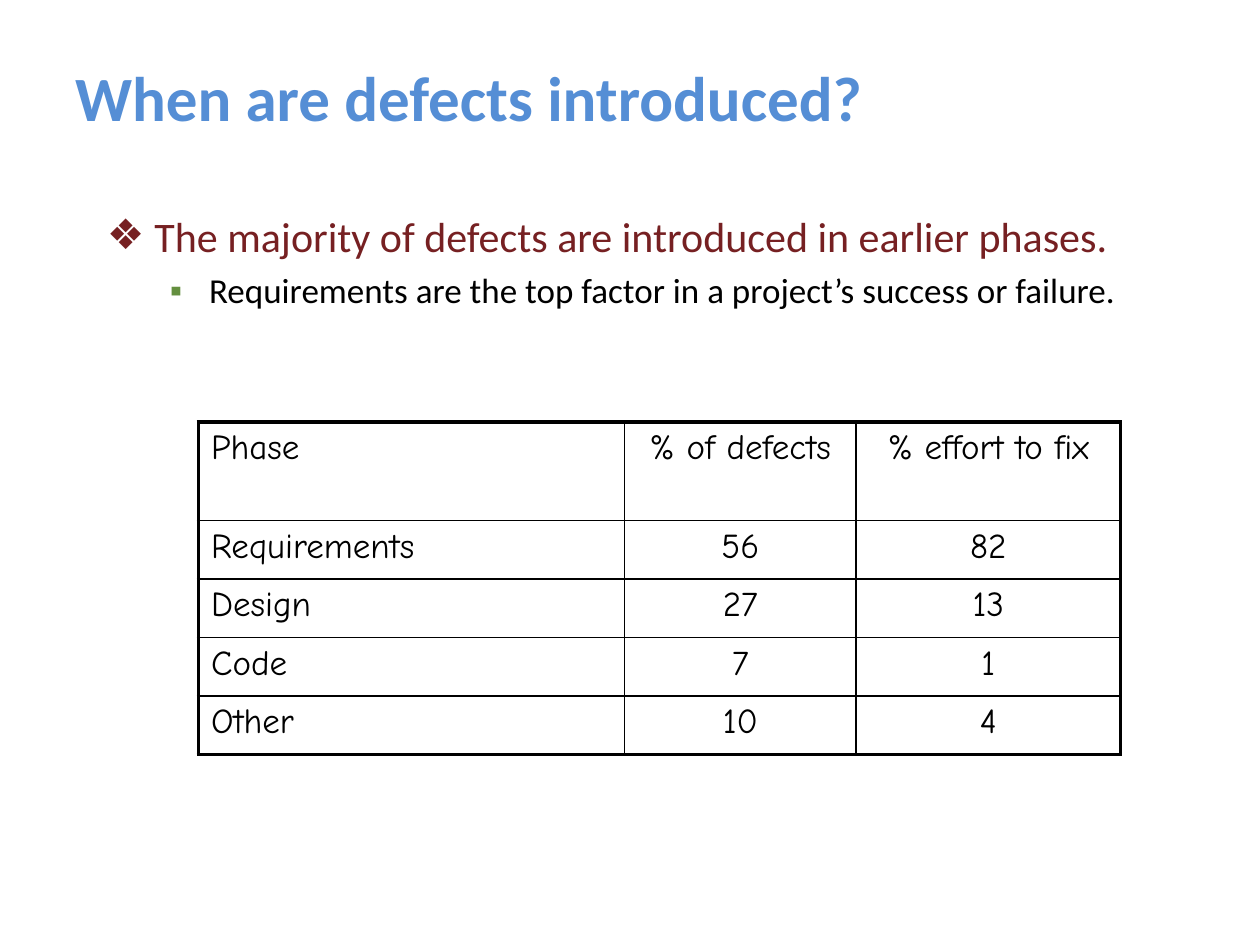
from lxml import etree
from pptx import Presentation
from pptx.dml.color import RGBColor
from pptx.enum.shapes import MSO_SHAPE
from pptx.enum.text import MSO_ANCHOR, MSO_AUTO_SIZE, PP_ALIGN
from pptx.oxml.ns import qn
from pptx.util import Cm, Pt

RECTANGLE = MSO_SHAPE.RECTANGLE
LEFT, CENTER = PP_ALIGN.LEFT, PP_ALIGN.CENTER
MIDDLE, TOP = MSO_ANCHOR.MIDDLE, MSO_ANCHOR.TOP
NO_FIT = MSO_AUTO_SIZE.NONE

COLORS = {
    "background": "C0C0C0",
    "panel": "FFFFFF",
    "title": "558ED5",
    "point": "762022",
    "detail_bullet": "648F3F",
    "ink": "000000",
}

TITLE = "When are defects introduced?"
POINTS = [
    {"text": "The majority of defects are introduced in earlier phases.",
     "level": 0, "bullet": "❖", "bullet_color": "point", "margin": 0.96,
     "hanging": 0.96, "before": 0, "format": "point"},
    {"text": "Requirements are the top factor in a project’s success or failure.",
     "level": 1, "bullet": "▪", "bullet_color": "detail_bullet", "margin": 2.06,
     "hanging": 0.79, "before": 4.8, "format": "detail"},
]
DEFECTS = [
    ("Phase", "% of defects", "% effort to fix"),
    ("Requirements", "56", "82"),
    ("Design", "27", "13"),
    ("Code", "7", "1"),
    ("Other", "10", "4"),
]

FORMATS = {
    "title": {"name": "Calibri", "size": Pt(36), "bold": True, "color": "title"},
    "point": {"name": "Calibri", "size": Pt(24), "color": "point"},
    "detail": {"name": "Calibri", "size": Pt(20), "color": "ink"},
    "cell": {"name": "Comic Neue", "size": Pt(20), "color": "ink"},
}

# left, top, width, height in centimetres
SLIDE_WIDTH, SLIDE_HEIGHT = 25.4, 19.05
HEADER_BOTTOM, CONTENT_TOP = 2.97, 2.74
PANELS = [
    (0, 0, SLIDE_WIDTH, HEADER_BOTTOM),
    (0, CONTENT_TOP, SLIDE_WIDTH, SLIDE_HEIGHT - CONTENT_TOP),
]
TITLE_BOX = (1.26, 0.73, 21.59, 2.41)
POINTS_BOX = (1.9, 4.11, 22.6, 2.64)
TABLE_CORNER = (4, 8.51)
COLUMN_WIDTHS = (8.59, 4.67, 5.33)
HEADER_HEIGHT, ROW_HEIGHT = 1.98, 1.18
OUTER_LINE, INNER_LINE = Pt(2.25), Pt(1)


def rgb(color_name):
    return RGBColor.from_string(COLORS[color_name])


def add_panels(slide):
    """Lay the white panels behind the placeholders."""
    for index, box in enumerate(PANELS):
        panel = slide.shapes.add_shape(RECTANGLE, *map(Cm, box))
        panel.shadow.inherit = False
        panel.fill.solid()
        panel.fill.fore_color.rgb = rgb("panel")
        panel.line.fill.background()
        slide.shapes._spTree.insert(2 + index, panel._element)


def place(placeholder, box, anchor):
    for side, length in zip(("left", "top", "width", "height"), box):
        setattr(placeholder, side, Cm(length))
    frame = placeholder.text_frame
    frame.word_wrap = True
    frame.auto_size = NO_FIT
    frame.vertical_anchor = anchor
    return frame


def write(paragraph, text, format_name, align=LEFT):
    paragraph.alignment = align
    run = paragraph.add_run()
    run.text = text
    for attribute, value in FORMATS[format_name].items():
        if attribute == "color":
            run.font.color.rgb = rgb(value)
        else:
            setattr(run.font, attribute, value)


def add_bullet(paragraph, point):
    properties = paragraph._p.get_or_add_pPr()
    properties.set("marL", str(Cm(point["margin"])))
    properties.set("indent", str(-Cm(point["hanging"])))
    color = etree.SubElement(properties, qn("a:buClr"))
    etree.SubElement(color, qn("a:srgbClr"), val=COLORS[point["bullet_color"]])
    etree.SubElement(properties, qn("a:buChar"), char=point["bullet"])


def add_borders(cell, on_edge):
    """Rule all four sides, heavier where on_edge marks the table's outside."""
    properties = cell._tc.get_or_add_tcPr()
    for side, is_outer in on_edge.items():
        width = OUTER_LINE if is_outer else INNER_LINE
        line = etree.SubElement(properties, qn(f"a:ln{side}"), w=str(width))
        fill = etree.SubElement(line, qn("a:solidFill"))
        etree.SubElement(fill, qn("a:srgbClr"), val=COLORS["ink"])


def add_points(placeholder):
    frame = place(placeholder, POINTS_BOX, TOP)
    for index, point in enumerate(POINTS):
        paragraph = frame.add_paragraph() if index else frame.paragraphs[0]
        paragraph.level = point["level"]
        add_bullet(paragraph, point)
        paragraph.space_before = Pt(point["before"])
        write(paragraph, point["text"], point["format"])


def add_defect_table(slide):
    heights = [HEADER_HEIGHT] + [ROW_HEIGHT] * (len(DEFECTS) - 1)
    left, top = TABLE_CORNER
    table = slide.shapes.add_table(
        len(heights), len(COLUMN_WIDTHS), Cm(left), Cm(top),
        Cm(sum(COLUMN_WIDTHS)), Cm(sum(heights))).table
    for column, width in zip(table.columns, COLUMN_WIDTHS):
        column.width = Cm(width)
    for row, height in zip(table.rows, heights):
        row.height = Cm(height)

    last_row, last_column = len(heights) - 1, len(COLUMN_WIDTHS) - 1
    for r, phase in enumerate(DEFECTS):
        for c, text in enumerate(phase):
            cell = table.cell(r, c)
            add_borders(cell, {"L": c == 0, "R": c == last_column,
                               "T": r == 0, "B": r == last_row})
            cell.fill.background()
            write(cell.text_frame.paragraphs[0], text, "cell",
                  CENTER if c else LEFT)


def main():
    deck = Presentation()
    deck.slide_width, deck.slide_height = Cm(SLIDE_WIDTH), Cm(SLIDE_HEIGHT)
    slide = deck.slides.add_slide(deck.slide_layouts[1])
    slide.background.fill.solid()
    slide.background.fill.fore_color.rgb = rgb("background")

    add_panels(slide)
    heading = place(slide.shapes.title, TITLE_BOX, MIDDLE)
    write(heading.paragraphs[0], TITLE, "title")
    add_points(slide.placeholders[1])
    add_defect_table(slide)
    deck.save("out.pptx")


if __name__ == "__main__":
    main()
